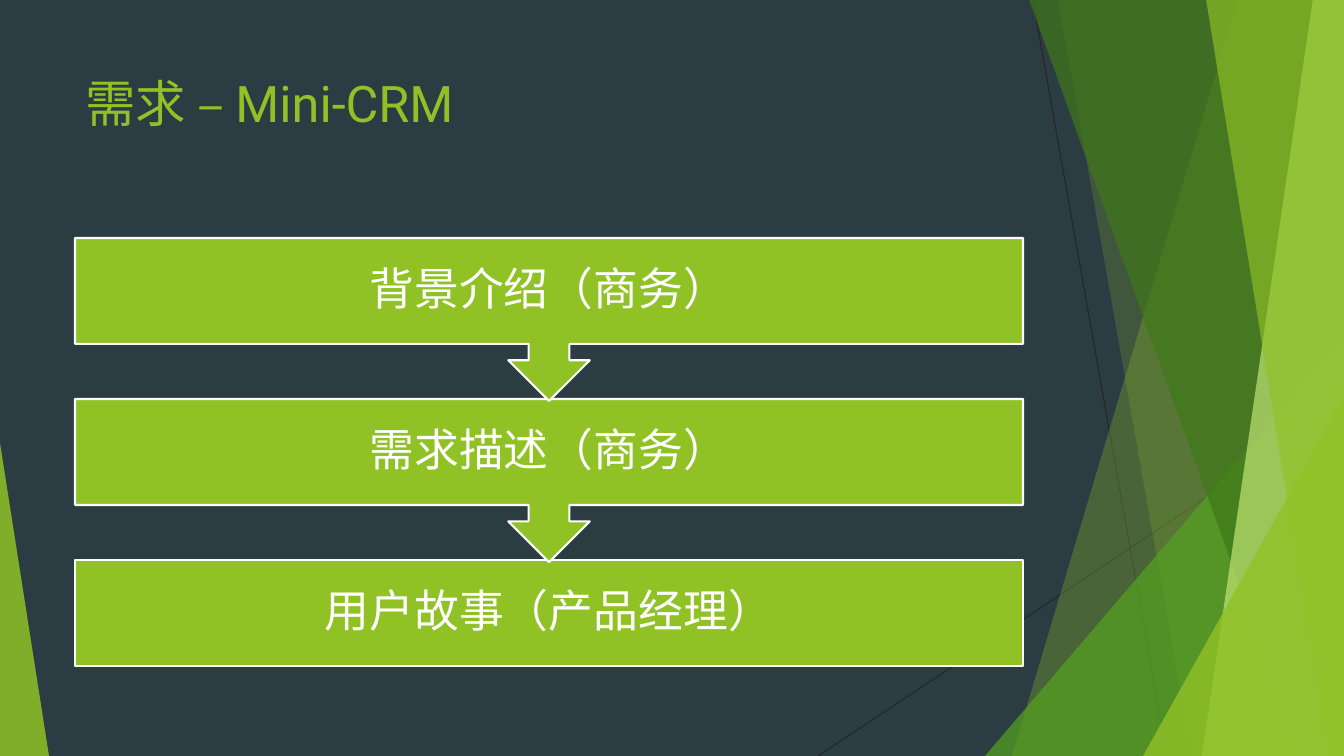
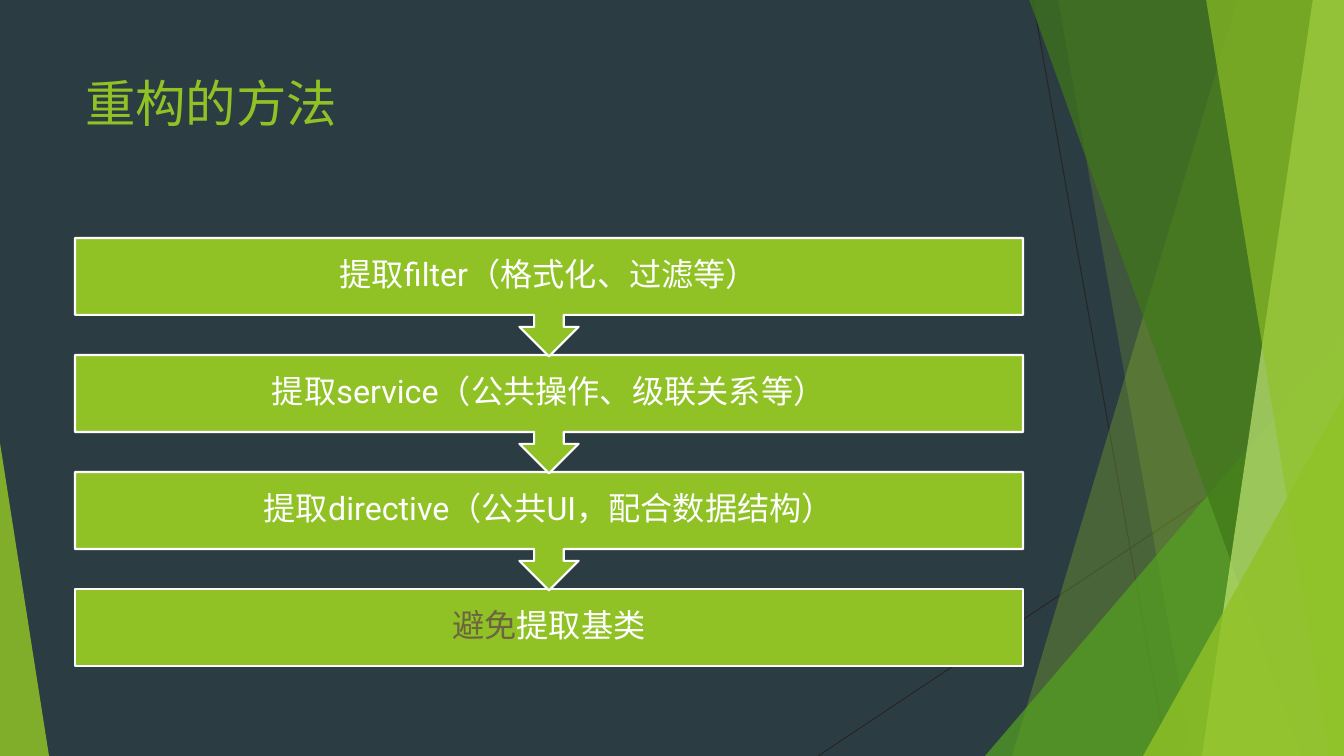
from lxml.etree import SubElement
from pptx import Presentation
from pptx.dml.color import RGBColor
from pptx.enum.shapes import MSO_CONNECTOR, MSO_SHAPE
from pptx.enum.text import MSO_ANCHOR, MSO_AUTO_SIZE, PP_ALIGN
from pptx.oxml.ns import qn
from pptx.util import Emu, Pt

SLATE = RGBColor(0x2C, 0x3C, 0x43)
LIME = RGBColor(0x90, 0xC2, 0x26)
GREEN = RGBColor(0x54, 0xA0, 0x21)
FOREST = RGBColor(0x3F, 0x78, 0x19)
PALE = RGBColor(0xC0, 0xE4, 0x74)
INK = RGBColor(0x26, 0x26, 0x26)
OLIVE = RGBColor(0x6D, 0x65, 0x40)
WHITE = RGBColor(0xFF, 0xFF, 0xFF)

FONT = "Roboto"
WIDTH, HEIGHT = 1344, 756
LEFT, SPAN = 75, 948
FLOW_TOP, FLOW_HEIGHT = 238, 428
PITCH_RATIO, BODY_RATIO = 1.52, 0.65

RAYS = [((1033, 0), (1167, HEIGHT)), ((WIDTH, 406), (818, HEIGHT))]
SHARDS = [
    ("band", (1238, 1012), LIME, 30),
    ("band", (1058, 1192), LIME, 20),
    ("wedge", (985, 336, 359, 420, 1), GREEN, 72),
    ("band", (1029, 1301), FOREST, 70),
    ("band", (1313, 1202), PALE, 70),
    ("band", (1206, 1329), LIME, 65),
    ("wedge", (1143, 396, 201, 360, 1), LIME, 80),
    ("wedge", (0, 443, 49, 313, 0), LIME, 85),
]
SLIDES = [
    ("需求 – Mini-CRM", 32, [
        [("背景介绍（商务）", WHITE)],
        [("需求描述（商务）", WHITE)],
        [("用户故事（产品经理）", WHITE)],
    ]),
    ("重构的方法", 23, [
        [("提取filter（格式化、过滤等）", WHITE)],
        [("提取service（公共操作、级联关系等）", WHITE)],
        [("提取directive（公共UI，配合数据结构）", WHITE)],
        [("避免", OLIVE), ("提取基类", WHITE)],
    ]),
]


def px(value):
    return Emu(round(value * 914400 / 100.8))


def apply(target, values):
    for name, value in values.items():
        setattr(target, name, value)


class Deck:
    def __init__(self):
        self.deck = Presentation()
        apply(self.deck, {"slide_width": px(WIDTH), "slide_height": px(HEIGHT)})
        self.layout = self.deck.slide_layouts[5]
        background = self.deck.slide_master.background.fill
        background.solid()
        background.fore_color.rgb = SLATE

    def new_slide(self, title):
        self.page = self.deck.slides.add_slide(self.layout)
        box = self.page.shapes.title
        apply(box, {"left": px(LEFT), "top": px(67), "width": px(SPAN), "height": px(145)})
        self.set_text(box.text_frame, [(title, LIME)], 36,
                      {"vertical_anchor": MSO_ANCHOR.TOP}, {"alignment": PP_ALIGN.LEFT})

    def set_text(self, frame, spans, size, frame_format, para_format):
        apply(frame, {"word_wrap": True, "auto_size": MSO_AUTO_SIZE.NONE, **frame_format})
        para = frame.paragraphs[0]
        apply(para, para_format)
        for text, color in spans:
            span = para.add_run()
            span.text = text
            apply(span.font, {"name": FONT, "size": Pt(size)})
            span.font.color.rgb = color

    def paint(self, shape, color, opacity=100, outline=None):
        shape.shadow.inherit = False
        shape.fill.solid()
        shape.fill.fore_color.rgb = color
        if opacity < 100:
            tint = next(shape.element.spPr.iter(qn("a:srgbClr")))
            SubElement(tint, qn("a:alpha"), val=str(opacity * 1000))
        if outline is None:
            shape.line.fill.background()
        else:
            shape.line.color.rgb = outline
            shape.line.width = Pt(1.5)
        return shape

    def shape(self, preset, left, top, width, height):
        return self.page.shapes.add_shape(preset, px(left), px(top), px(width), px(height))

    def ray(self, start, end):
        line = self.page.shapes.add_connector(
            MSO_CONNECTOR.STRAIGHT, *(px(value) for value in (*start, *end)))
        line.line.color.rgb = INK
        line.line.width = Pt(0.75)
        SubElement(line.element.spPr, qn("a:effectLst"))
        return line

    def band(self, top_left, bottom_left):
        corners = [(top_left, -1), (WIDTH, -1), (WIDTH, HEIGHT), (bottom_left, HEIGHT)]
        points = [(px(x), px(y)) for x, y in corners]
        builder = self.page.shapes.build_freeform(*points[0])
        builder.add_line_segments(points[1:], close=True)
        return builder.convert_to_shape()

    def wedge(self, left, top, width, height, apex):
        shape = self.shape(MSO_SHAPE.ISOSCELES_TRIANGLE, left, top, width, height)
        shape.adjustments[0] = apex
        return shape

    def share_backdrop(self):
        makers = {"band": self.band, "wedge": self.wedge}
        parts = [self.ray(*ends) for ends in RAYS]
        for kind, place, color, opacity in SHARDS:
            parts.append(self.paint(makers[kind](*place), color, opacity))
        for number, part in enumerate(parts, 100):
            part.element.xpath("./*/p:cNvPr")[0].set("id", str(number))
            self.layout.shapes.element.append(part.element)

    def flow(self, steps, size):
        body = FLOW_HEIGHT / (1 + PITCH_RATIO * (len(steps) - 1))
        tops = [FLOW_TOP + index * body * PITCH_RATIO for index in range(len(steps))]
        last = tops[-1]
        for top, spans in reversed(list(zip(tops, steps))):
            if top == last:
                block = self.shape(MSO_SHAPE.RECTANGLE, LEFT, top, SPAN, body)
            else:
                block = self.shape(MSO_SHAPE.UP_ARROW_CALLOUT, LEFT, top, SPAN, body / BODY_RATIO)
                block.rotation = 180
            self.paint(block, LIME, outline=WHITE)
            self.label(top, body, spans, size)

    def label(self, top, height, spans, size):
        box = self.page.shapes.add_textbox(px(LEFT), px(top), px(SPAN), px(height))
        margins = {f"margin_{side}": px(int(size * 0.8))
                   for side in ("left", "top", "right", "bottom")}
        self.set_text(box.text_frame, spans, size,
                      {"vertical_anchor": MSO_ANCHOR.MIDDLE, **margins},
                      {"alignment": PP_ALIGN.CENTER, "line_spacing": 0.9,
                       "space_after": Pt(round(size * 0.35))})


show = Deck()
for index, (title, size, steps) in enumerate(SLIDES):
    show.new_slide(title)
    if index == 0:
        show.share_backdrop()
    show.flow(steps, size)
show.deck.save("out.pptx")
